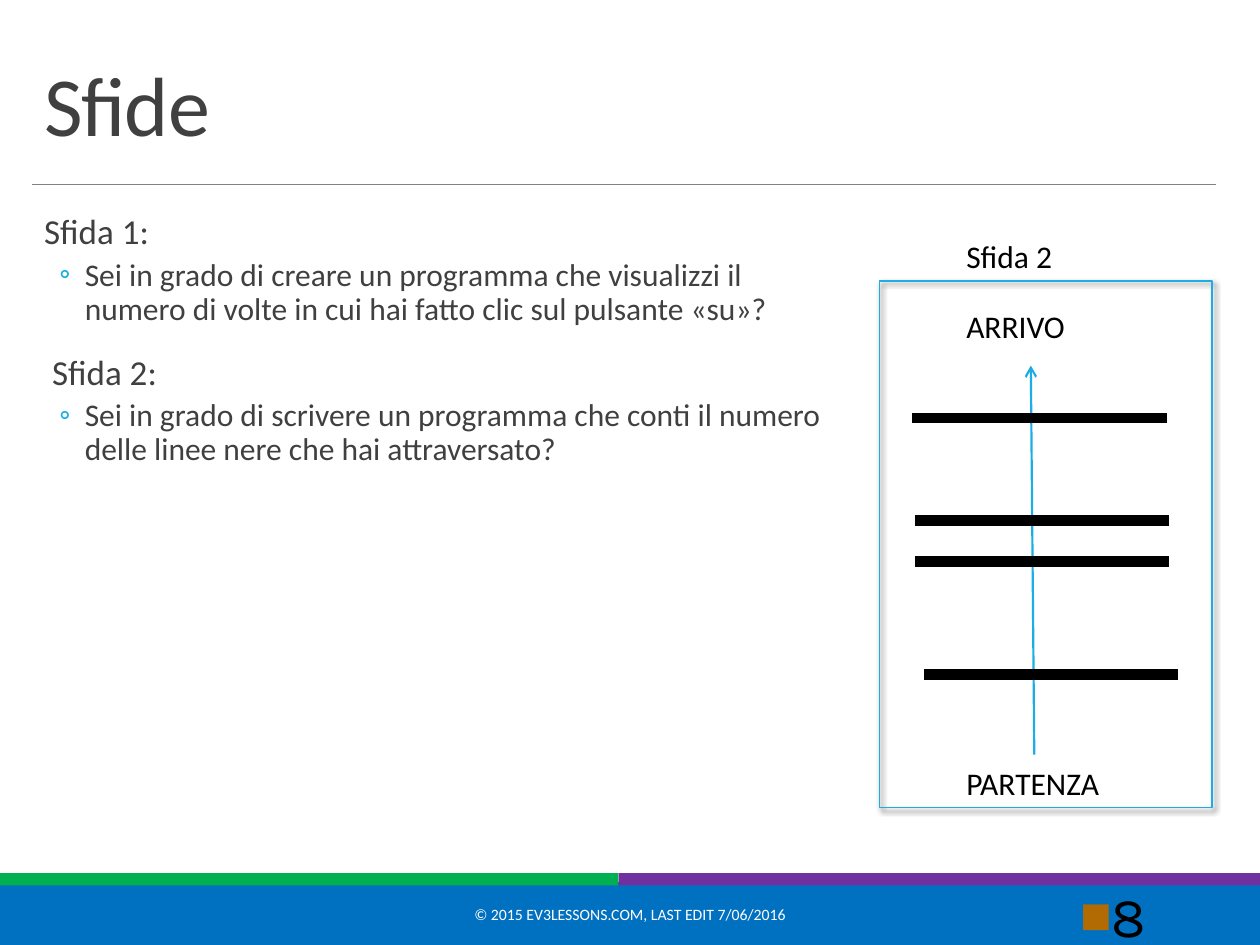
import pptx
import pptx.util
from pptx.dml.color import RGBColor
from pptx.enum.shapes import MSO_CONNECTOR, MSO_SHAPE
from pptx.enum.text import MSO_ANCHOR, PP_ALIGN
from pptx.oxml import parse_xml
from pptx.oxml.ns import nsdecls
from pptx.util import Cm, Pt

BLUE = RGBColor(0x00, 0x70, 0xC0)
GREEN = RGBColor(0x00, 0xB0, 0x50)
PURPLE = RGBColor(0x70, 0x30, 0xA0)
CYAN = RGBColor(0x1C, 0xAD, 0xE4)
BROWN = RGBColor(0xB2, 0x6B, 0x02)
DARK = RGBColor(0x40, 0x40, 0x40)
GREY = RGBColor(0x80, 0x80, 0x80)
BLACK = RGBColor(0, 0, 0)
WHITE = RGBColor(255, 255, 255)

WIDTH, HEIGHT = 25.4, 19.05
SPLIT = 12.47
BANDS = [
    (0, 17.78, WIDTH, 1.27, BLUE),
    (0, 17.6, SPLIT, 0.25, GREEN),
    (SPLIT, 17.6, WIDTH - SPLIT, 0.25, PURPLE),
]
CHALLENGES = [
    ("Sfida 1:", 0.25,
     "Sei in grado di creare un programma che visualizzi il numero di volte "
     "in cui hai fatto clic sul pulsante «su»?"),
    ("Sfida 2:", 0.41,
     "Sei in grado di scrivere un programma che conti il numero delle linee "
     "nere che hai attraversato?"),
]
LABELS = [("Sfida 2", 4.65), ("ARRIVO", 6.07), ("PARTENZA", 15.27)]
BAR_LENGTH = 5.13
BARS = [(18.39, 8.43), (18.44, 10.49), (18.44, 11.32), (18.62, 13.6)]


def add_box(page, left, top, width, height, anchor=MSO_ANCHOR.TOP):
    frame = page.shapes.add_textbox(
        Cm(left), Cm(top), Cm(width), Cm(height)).text_frame
    frame.word_wrap = True
    frame.vertical_anchor = anchor
    return frame


def add_span(para, text, size, color, font="Calibri"):
    span = para.add_run()
    span.text = text
    span.font.size = Pt(size)
    span.font.name = font
    span.font.color.rgb = color
    return span


def add_line(page, start, end, color, weight):
    line = page.shapes.add_connector(
        MSO_CONNECTOR.STRAIGHT, Cm(start[0]), Cm(start[1]), Cm(end[0]), Cm(end[1]))
    line.line.color.rgb = color
    line.line.width = Pt(weight)
    line._element.spPr.append(parse_xml(f"<a:effectLst {nsdecls('a')}/>"))
    return line


def add_bullet(para, symbol, color, percent=100, margin=0, indent=0):
    properties = para._p.get_or_add_pPr()
    properties.set("marL", str(Cm(margin)))
    properties.set("indent", str(Cm(indent)))
    for xml in (
        f'<a:buClr {nsdecls("a")}><a:srgbClr val="{color}"/></a:buClr>',
        f'<a:buSzPct {nsdecls("a")} val="{percent * 1000}"/>',
        f'<a:buFont {nsdecls("a")} typeface="Calibri"/>',
        f'<a:buChar {nsdecls("a")} char="{symbol}"/>',
    ):
        properties.append(parse_xml(xml))


def add_bands(page):
    for left, top, width, height, color in BANDS:
        band = page.shapes.add_shape(
            MSO_SHAPE.RECTANGLE, Cm(left), Cm(top), Cm(width), Cm(height))
        band.shadow.inherit = False
        band.fill.solid()
        band.fill.fore_color.rgb = color
        band.line.fill.background()
    add_line(page, (0.64, 3.71), (24.51, 3.71), GREY, 0.5)


def add_title(page):
    para = add_box(page, 0.64, 0.79, 23.88, 2.44, MSO_ANCHOR.BOTTOM).paragraphs[0]
    para.line_spacing = 0.85
    span = add_span(para, "Sfide", 48, DARK)
    span.font._element.set("spc", "-50")


def add_challenges(page):
    frame = add_box(page, 0.64, 4.19, 15.93, 12.93)
    frame.margin_left = frame.margin_right = 0
    for number, (heading, margin, question) in enumerate(CHALLENGES):
        para = frame.add_paragraph() if number else frame.paragraphs[0]
        para._p.get_or_add_pPr().set("marL", str(Cm(margin)))
        para.line_spacing = 0.9
        if number:
            para.space_before = Pt(12)
        para.space_after = Pt(2)
        add_span(para, heading, 20, DARK)
        para = frame.add_paragraph()
        para.level = 1
        add_bullet(para, "◦", CYAN, margin=1.07, indent=-0.51)
        para.line_spacing = 0.9
        para.space_before = Pt(2)
        para.space_after = Pt(4)
        add_span(para, question, 18, DARK)


def add_footer(page):
    para = add_box(page, 7.67, 17.93, 10.06, 1.02, MSO_ANCHOR.MIDDLE).paragraphs[0]
    para.alignment = PP_ALIGN.CENTER
    add_span(para, "© 2015 EV3LESSONS.COM, LAST EDIT 7/06/2016", 9, WHITE)
    para = add_box(page, 20.62, 17.93, 2.74, 1.02, MSO_ANCHOR.MIDDLE).paragraphs[0]
    para.alignment = PP_ALIGN.RIGHT
    add_bullet(para, "■", BROWN, percent=60)
    add_span(para, "8", 32, BLACK, "Karla")


def add_course(page):
    arrow = add_line(page, (20.85, 15.21), (20.78, 7.37), CYAN, 1.25)
    arrow.line._get_or_add_ln().append(
        parse_xml(f'<a:tailEnd {nsdecls("a")} type="arrow"/>'))
    border = page.shapes.add_shape(
        MSO_SHAPE.RECTANGLE, Cm(17.73), Cm(5.66), Cm(6.71), Cm(10.62))
    border.fill.background()
    border.line.color.rgb = CYAN
    border.line.width = Pt(1)
    border._element.spPr.append(parse_xml(
        f'<a:effectLst {nsdecls("a")}><a:outerShdw blurRad="{Pt(3)}" '
        f'dist="{Pt(2)}" dir="2700000" algn="tl" rotWithShape="0">'
        '<a:srgbClr val="000000"><a:alpha val="60000"/></a:srgbClr>'
        '</a:outerShdw></a:effectLst>'))
    for text, top in LABELS:
        para = add_box(page, 19.23, top, 3.56, 1.02).paragraphs[0]
        add_span(para, text, 18, BLACK)
    for left, top in BARS:
        add_line(page, (left + BAR_LENGTH, top), (left, top), BLACK, 6)


def main():
    deck = pptx.Presentation()
    deck.slide_width, deck.slide_height = Cm(WIDTH), Cm(HEIGHT)
    page = deck.slides.add_slide(deck.slide_layouts[6])
    add_bands(page)
    add_title(page)
    add_challenges(page)
    add_footer(page)
    add_course(page)
    deck.save("out.pptx")


if __name__ == "__main__":
    main()
